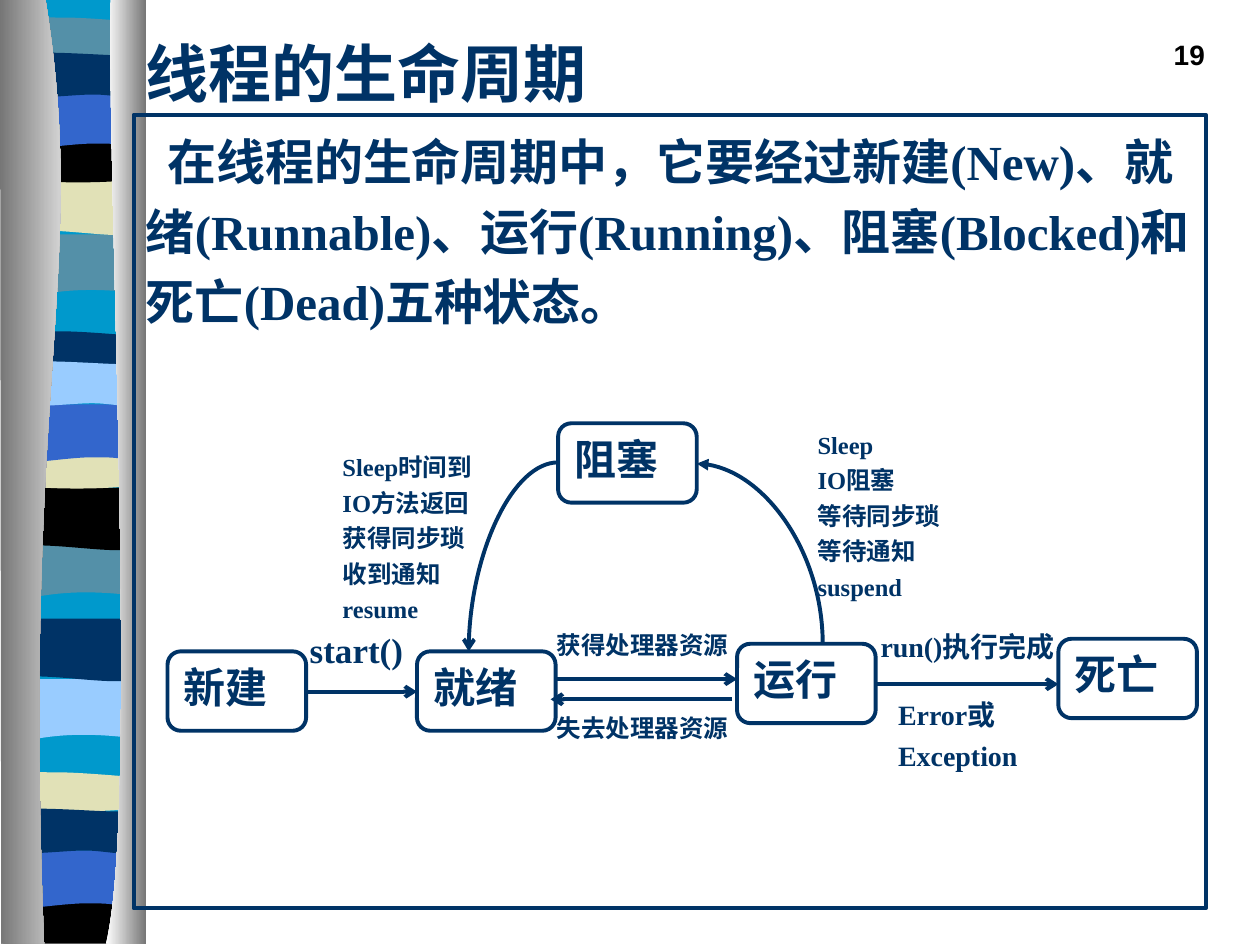
"""Build the thread life cycle slide with its decorative column and state diagram."""
from lxml import etree
from pptx import Presentation
from pptx.dml.color import RGBColor
from pptx.enum.shapes import MSO_CONNECTOR, MSO_SHAPE
from pptx.enum.text import MSO_ANCHOR, PP_ALIGN
from pptx.oxml.ns import qn
from pptx.util import Inches, Pt

RECTANGLE, ROUNDED = MSO_SHAPE.RECTANGLE, MSO_SHAPE.ROUNDED_RECTANGLE
STRAIGHT, CURVE = MSO_CONNECTOR.STRAIGHT, MSO_CONNECTOR.CURVE
TOP, MIDDLE = MSO_ANCHOR.TOP, MSO_ANCHOR.MIDDLE
LEFT, RIGHT = PP_ALIGN.LEFT, PP_ALIGN.RIGHT
NAVY = RGBColor(0x00, 0x33, 0x66)
BLUE = RGBColor(0x33, 0x66, 0xCC)
SKY = RGBColor(0x99, 0xCC, 0xFF)
CYAN = RGBColor(0x00, 0x99, 0xCC)
TEAL = RGBColor(0x54, 0x90, 0xA8)
SAND = RGBColor(0xE1, 0xE1, 0xB7)
BLACK = RGBColor(0x00, 0x00, 0x00)
WHITE = RGBColor(0xFF, 0xFF, 0xFF)
GREY = RGBColor(0x76, 0x76, 0x76)
SERIF, SANS = "Times New Roman", "Arial"

TITLE = "线程的生命周期"
BODY = ("在线程的生命周期中，它要经过新建(New)、就绪(Runnable)、运行(Running)、"
        "阻塞(Blocked)和死亡(Dead)五种状态。")
PAGE_NUMBER = "19"

STATE_SIZE = (1.1, 0.63)
STATES = [("就绪", 3.31, 5.17), ("新建", 1.33, 5.17), ("阻塞", 4.43, 3.36),
          ("运行", 5.85, 5.11), ("死亡", 8.4, 5.07)]

ARROWS = [
    (STRAIGHT, (2.43, 5.49), (3.31, 5.49), "tailEnd", "arrow"),
    (STRAIGHT, (4.41, 5.39), (5.85, 5.39), "tailEnd", "arrow"),
    (STRAIGHT, (5.81, 5.55), (4.37, 5.55), "tailEnd", "arrow"),
    (STRAIGHT, (6.95, 5.43), (8.4, 5.43), "tailEnd", "arrow"),
    (CURVE, (5.53, 3.68), (6.53, 5.11), "headEnd", "triangle"),
    (CURVE, (4.43, 3.67), (3.72, 5.17), "tailEnd", "arrow"),
]

LABELS = [
    (["start()"], 20, (2.36, 4.94, 1.07, 0.44)),
    (["获得处理器资源"], 14, (4.32, 4.95, 2.29, 0.34)),
    (["失去处理器资源"], 14, (4.32, 5.61, 2.29, 0.34)),
    (["run()执行完成"], 16, (6.89, 4.95, 2.29, 0.37)),
    (["Error或", "Exception"], 16, (7.03, 5.49, 1.3, 0.69)),
    (["Sleep", "IO阻塞", "等待同步琐", "等待通知", "suspend"], 14, (6.39, 3.36, 1.64, 1.46)),
    (["Sleep时间到", "IO方法返回", "获得同步琐", "收到通知", "resume"], 14,
     (2.62, 3.54, 1.64, 1.46)),
]

BANDS = {
    "dip": [(1.02, 0), (1.02, 0.47), (0.31, 0.38, 0.17, 0.54, 0, 0.47), (0, 0)],
    "wave": [(1.02, 0), (1.02, 0.47), (0.85, 0.55, 0.32, 0.42, 0, 0.47), (0, 0)],
    "lens": [(1.02, 0.05), (1.02, 0.29), (0.85, 0.33, 0.17, 0.33, 0, 0.29), (0, 0.05),
             (0.07, 0, 0.22, 0.01, 0.39, 0.01), (0.56, 0.01, 0.89, 0.04, 1.02, 0.05)],
    "bowl": [(1.02, 0), (1.02, 0.33), (0.85, 0.38, 0.17, 0.38, 0, 0.33), (0, 0),
             (0.62, 0.05, 0.8, 0, 1.02, 0)],
    "arch": [(1.02, 0), (1.02, 0.47), (0.86, 0.42, 0.8, 0.42, 0.63, 0.42),
             (0.46, 0.42, 0.15, 0.47, 0, 0.47), (0, 0)],
    "flag": [(1.02, 0.05), (1.02, 0.36), (0.95, 0.41, 0.8, 0.36, 0.63, 0.36),
             (0.46, 0.36, 0.1, 0.41, 0, 0.36), (0, 0.05),
             (0.14, 0, 0.69, 0.05, 0.86, 0.05), (1.03, 0.05, 0.98, 0.05, 1.02, 0.05)],
    "foot": [(1.02, 0), (1.02, 0.37), (0.01, 0.37), (0, 0), (0.63, 0.05, 0.81, 0, 1.02, 0)],
}
STRIPES = [
    ("dip", 0.11, 1.86, TEAL), ("wave", 0.13, 1.37, SAND), ("lens", 0.13, 0.13, TEAL),
    ("bowl", 0.11, 1.08, BLACK), ("arch", 0.11, 0.72, BLUE), ("flag", 0.11, 0.39, NAVY),
    ("dip", 0.07, 4.26, TEAL), ("wave", 0.1, 3.87, BLACK), ("lens", 0.1, 2.62, NAVY),
    ("bowl", 0.1, 3.51, SAND), ("arch", 0.1, 3.21, BLUE), ("flag", 0.1, 2.84, SKY),
    ("dip", 0.05, 5.39, SKY), ("wave", 0.08, 4.91, NAVY), ("lens", 0.07, 6.12, SAND),
    ("foot", 0.07, 7.12, BLACK), ("arch", 0.05, 6.75, BLUE), ("flag", 0.04, 6.39, NAVY),
]
BACKING = [(1.13, -0.01), (1.13, 7.47), (0.11, 7.47), (0.11, -0.01)]
SIDES = [
    ([(0.36, -0.01), (0.71, 2.16, 0.17, 2.96, 0.35, 7.49), (0.01, 7.49), (0, -0.01)],
     (GREY, WHITE)),
    ([(0.88, -0.01), (0.84, 1.25, 1.11, 6.46, 0.84, 7.49), (1.16, 7.49), (1.16, 0)],
     (WHITE, GREY)),
]


def add_outline(slide, outline, colors, left=0, top=0):
    """Draw a closed outline of lines and cubic curves with a plain or two-colour fill."""
    points = [(Inches(left + segment[i]), Inches(top + segment[i + 1]))
              for segment in outline for i in range(0, len(segment), 2)]
    builder = slide.shapes.build_freeform(*points[0], scale=1.0)
    builder.add_line_segments(points[1:], close=True)
    shape = builder.convert_to_shape()
    steps = iter(list(shape._element.iter(qn("a:lnTo"))))
    for segment in outline[1:]:
        first = next(steps)
        if len(segment) == 6:
            curve = etree.Element(qn("a:cubicBezTo"))
            first.addprevious(curve)
            for step in (first, next(steps), next(steps)):
                curve.append(step[0])
                step.getparent().remove(step)
    shape.shadow.inherit = False
    shape.line.fill.background()
    if len(colors) == 1:
        shape.fill.solid()
        shape.fill.fore_color.rgb = colors[0]
        return
    shape.fill.gradient()
    shape.fill.gradient_angle = 0
    for stop, color in zip(shape.fill.gradient_stops, colors):
        stop.color.rgb = color


def write(shape, lines, size, font=SERIF, color=NAVY, align=LEFT, anchor=TOP, before=0):
    """Put formatted lines in a shape and return its first paragraph."""
    frame = shape.text_frame
    frame.text = "\n".join(lines)
    frame.word_wrap = True
    frame.vertical_anchor = anchor
    for paragraph in frame.paragraphs:
        paragraph.alignment = align
        paragraph.space_before = Pt(before)
        for run in paragraph.runs:
            run.font.size = Pt(size)
            run.font.name = font
            run.font.bold = True
            run.font.color.rgb = color
    return frame.paragraphs[0]


def add_text(slide, box, *content, **style):
    """Add a text box."""
    write(slide.shapes.add_textbox(*map(Inches, box)), *content, **style)


def add_frame(slide, kind, box):
    """Add an unfilled shape with a navy border."""
    shape = slide.shapes.add_shape(kind, *map(Inches, box))
    shape.shadow.inherit = False
    shape.fill.background()
    shape.line.color.rgb = NAVY
    shape.line.width = Pt(2.25)
    return shape


def add_arrow(slide, kind, start, end, side, head):
    """Add a straight or quarter-turn arrow."""
    connector = slide.shapes.add_connector(kind, *map(Inches, start + end))
    connector.line.color.rgb = NAVY
    connector.line.width = Pt(2.25)
    properties = connector._element.spPr
    if kind == CURVE:
        properties.find(qn("a:prstGeom")).set("prst", "curvedConnector2")
    etree.SubElement(properties.find(qn("a:ln")), qn("a:" + side), type=head)
    etree.SubElement(properties, qn("a:effectLst"))


def main():
    """Assemble and save the slide."""
    presentation = Presentation()
    presentation.slide_width, presentation.slide_height = Inches(10), Inches(7.5)
    slide = presentation.slides.add_slide(presentation.slide_layouts[6])
    add_outline(slide, BACKING, (CYAN,))
    for band, left, top, color in STRIPES:
        add_outline(slide, BANDS[band], (color,), left, top)
    for outline, colors in SIDES:
        add_outline(slide, outline, colors)

    add_text(slide, (7.58, 0.25, 2.08, 0.5), [PAGE_NUMBER], 16, font=SANS, color=BLACK,
             align=RIGHT, before=10)
    add_text(slide, (1.06, 0.36, 8.5, 0.42), [TITLE], 36, anchor=MIDDLE)
    body = add_frame(slide, RECTANGLE, (1.06, 0.91, 8.51, 6.3))
    paragraph = write(body, [BODY], 28, before=7)
    paragraph.line_spacing = Pt(40)
    paragraph._p.get_or_add_pPr().set("indent", str(Inches(0.17)))

    for name, left, top in STATES:
        state = add_frame(slide, ROUNDED, (left, top, *STATE_SIZE))
        write(state, [name], 24, font=SANS, before=6)
    for arrow in ARROWS:
        add_arrow(slide, *arrow)
    for lines, size, box in LABELS:
        add_text(slide, box, lines, size, before=size / 4)
    presentation.save("out.pptx")


if __name__ == "__main__":
    main()
